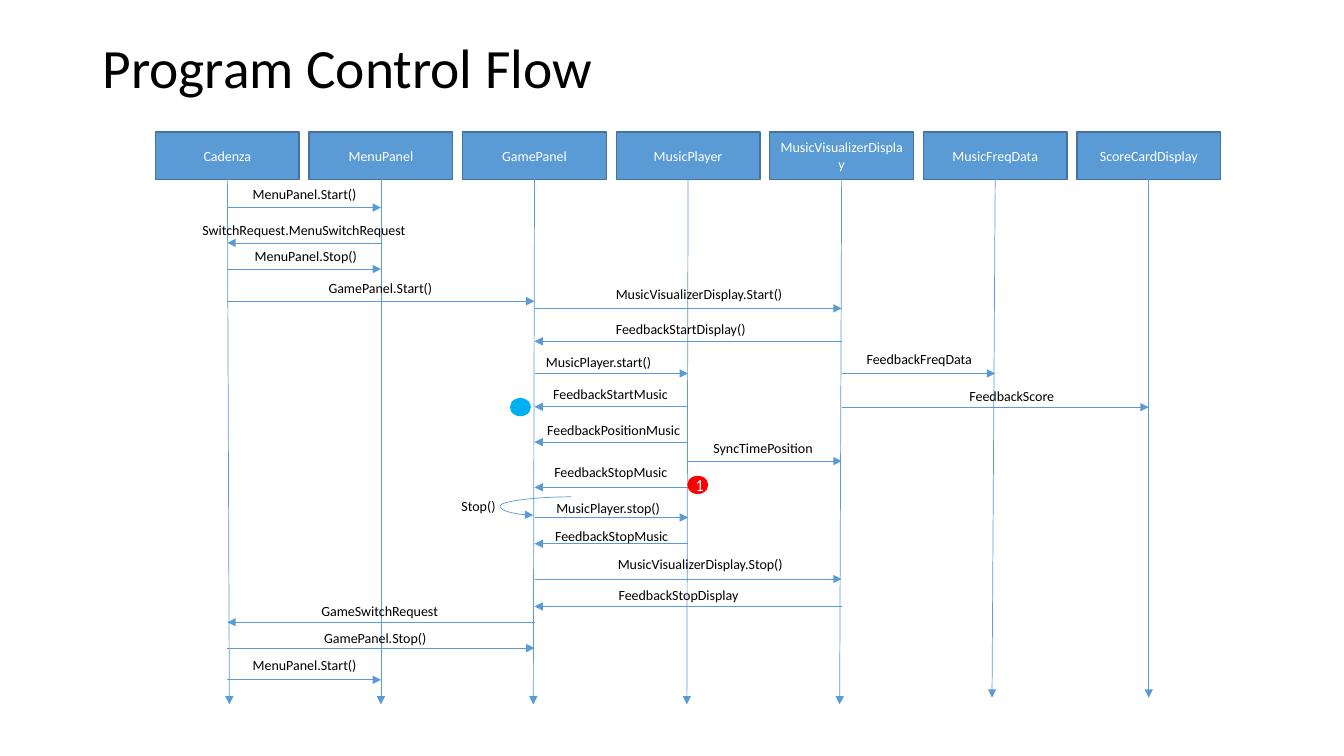
import pptx
import pptx.util
import pptx.dml.color
import pptx.enum.shapes
import pptx.enum.text
import pptx.oxml
import pptx.oxml.ns

Cm, Pt = pptx.util.Cm, pptx.util.Pt
SHAPE = pptx.enum.shapes.MSO_SHAPE
LINK = pptx.enum.shapes.MSO_CONNECTOR
MID = pptx.enum.text.MSO_ANCHOR.MIDDLE
TOP = pptx.enum.text.MSO_ANCHOR.TOP
LEFT = pptx.enum.text.PP_ALIGN.LEFT
MIDDLE = pptx.enum.text.PP_ALIGN.CENTER

# Content (lengths in cm)
TITLE = "Program Control Flow"
HEX = {"blue": "5B9BD5", "edge": "43739E", "black": "000000",
       "white": "FFFFFF", "sky": "00B0F0", "red": "FF0000"}

# Class name, drift of the lifeline foot, foot height
CLASSES = [
    ("Cadenza", 0.05, 17.75),
    ("MenuPanel", 0, 17.75),
    ("GamePanel", -0.03, 17.75),
    ("MusicPlayer", -0.03, 17.75),
    ("MusicVisualizerDisplay", -0.05, 17.75),
    ("MusicFreqData", -0.08, 17.58),
    ("ScoreCardDisplay", 0, 17.58),
]

# Label, from column, to column, arrow y, label left, top, width
CALLS = [
    ("MenuPanel.Start()", 0, 1, 5.23, 6.12, 4.55, 3.18),
    ("SwitchRequest.MenuSwitchRequest", 1, 0, 6.12, 4.85, 5.46, 5.74),
    ("MenuPanel.Stop()", 0, 1, 6.78, 6.17, 6.1, 3.12),
    ("GamePanel.Start()", 0, 2, 7.59, 8.03, 6.93, 3.18),
    ("MusicVisualizerDisplay.Start()", 2, 4, 7.77, 15.27, 7.06, 4.78),
    ("FeedbackStartDisplay()", 4, 2, 8.6, 15.27, 7.95, 3.84),
    ("MusicPlayer.start()", 2, 3, 9.41, 13.51, 8.79, 3.25),
    ("FeedbackFreqData", 4, 5, 9.41, 21.59, 8.71, 3.23),
    ("FeedbackStartMusic", 3, 2, 10.25, 13.69, 9.58, 3.45),
    ("FeedbackScore", 4, 6, 10.26, 24.18, 9.65, 2.69),
    ("FeedbackPositionMusic", 3, 2, 11.14, 13.54, 10.49, 3.91),
    ("SyncTimePosition", 3, 4, 11.62, 17.73, 10.95, 3.05),
    ("FeedbackStopMusic", 3, 2, 12.28, 13.72, 11.56, 3.4),
    ("MusicPlayer.stop()", 2, 3, 13.04, 13.77, 12.45, 3.2),
    ("FeedbackStopMusic", 3, 2, 13.7, 13.74, 13.18, 3.4),
    ("MusicVisualizerDisplay.Stop()", 2, 4, 14.59, 15.32, 13.87, 4.75),
    ("FeedbackStopDisplay", 4, 2, 15.28, 15.34, 14.66, 3.58),
    ("GameSwitchRequest", 2, 0, 15.68, 7.85, 15.06, 3.51),
    ("GamePanel.Stop()", 0, 2, 16.33, 7.92, 15.75, 3.12),
    ("MenuPanel.Start()", 0, 1, 17.13, 6.12, 16.43, 3.18),
]
SELF = ("Stop()", 11.38, 12.4, 1.4)
LOOP = (14.4, 12.52, 13.44, 12.98)
BEND = 187600

# Text, left, top, fill
DOTS = [("", 12.85, 10.03, "sky"), ("1", 17.32, 11.99, "red")]

# Grid
EDGE, PITCH, WIDE = 3.92, 3.87, 3.62
HEAD, TALL, STEM = 3.33, 1.19, 4.5

# Text formats: frame, paragraph, font, colour
FORMATS = {
    "title": ({"vertical_anchor": MID, "word_wrap": True},
              {"alignment": LEFT, "line_spacing": 0.9}, 39.6, "black"),
    "head": ({"vertical_anchor": MID, "word_wrap": True},
             {"alignment": MIDDLE}, 10, "white"),
    "dot": ({"vertical_anchor": MID, "word_wrap": True},
            {"alignment": MIDDLE}, 12, "white"),
    "label": ({"vertical_anchor": TOP, "word_wrap": False,
               "auto_size": pptx.enum.text.MSO_AUTO_SIZE.SHAPE_TO_FIT_TEXT},
              {"alignment": LEFT}, 10, "black"),
}


def tint(name):
    return pptx.dml.color.RGBColor.from_string(HEX[name])


def axis(col):
    return EDGE + WIDE / 2 + col * PITCH


def write(shape, text, kind):
    frame = shape.text_frame
    frame.text = text
    para = frame.paragraphs[0]
    box, flow, size, color = FORMATS[kind]
    font = {"name": "Calibri", "size": Pt(size), "bold": False}
    for part, look in ((frame, box), (para, flow), (para.font, font)):
        for key, value in look.items():
            setattr(part, key, value)
    para.font.color.rgb = tint(color)


def block(form, spot, fill):
    shape = slide.shapes.add_shape(form, *map(Cm, spot))
    shape.shadow.inherit = False
    shape.fill.solid()
    shape.fill.fore_color.rgb = tint(fill)
    return shape


def arrow(ends, form=LINK.STRAIGHT):
    link = slide.shapes.add_connector(form, *map(Cm, ends))
    link.line.color.rgb = tint("blue")
    link.line.width = Pt(0.5)
    tail = pptx.oxml.ns.qn("a:tailEnd")
    link.line._get_or_add_ln().makeelement(tail)
    pptx.oxml.parse_xml  # XML helper used for the arrowhead below
    edge = link.line._get_or_add_ln()
    edge.append(edge.makeelement(tail, {"type": "triangle"}))
    props = link._element.spPr
    props.append(props.makeelement(pptx.oxml.ns.qn("a:effectLst")))
    return link


def label(text, left, top, width):
    box = slide.shapes.add_textbox(Cm(left), Cm(top), Cm(width), Cm(0.68))
    write(box, text, "label")


deck = pptx.Presentation()
deck.slide_width, deck.slide_height = Cm(33.87), Cm(19.05)
slide = deck.slides.add_slide(deck.slide_layouts[5])

# Title
title = slide.shapes.title
place = {"left": 2.33, "top": 1.02, "width": 29.21, "height": 1.52}
for key, value in place.items():
    setattr(title, key, Cm(value))
write(title, TITLE, "title")

# Class heads and lifelines
for col, (name, drift, foot) in enumerate(CLASSES):
    head = block(SHAPE.RECTANGLE,
                 (EDGE + col * PITCH, HEAD, WIDE, TALL), "blue")
    head.line.color.rgb = tint("edge")
    head.line.width = Pt(1)
    write(head, name, "head")
    arrow((axis(col), STEM, axis(col) + drift, foot))

# Calls between classes
for text, start, end, y, left, top, width in CALLS:
    arrow((axis(start), y, axis(end), y))
    label(text, left, top, width)

# Call to itself
loop = arrow(LOOP, LINK.CURVE)
guides = loop._element.spPr.find(".//" + pptx.oxml.ns.qn("a:avLst"))
guides.append(guides.makeelement(
    pptx.oxml.ns.qn("a:gd"), {"name": "adj1", "fmla": f"val {BEND}"}))
label(*SELF)

# Marker dots
for text, left, top, fill in DOTS:
    dot = block(SHAPE.OVAL, (left, top, 0.53, 0.46), fill)
    dot.line.fill.background()
    if text:
        write(dot, text, "dot")

deck.save("out.pptx")
